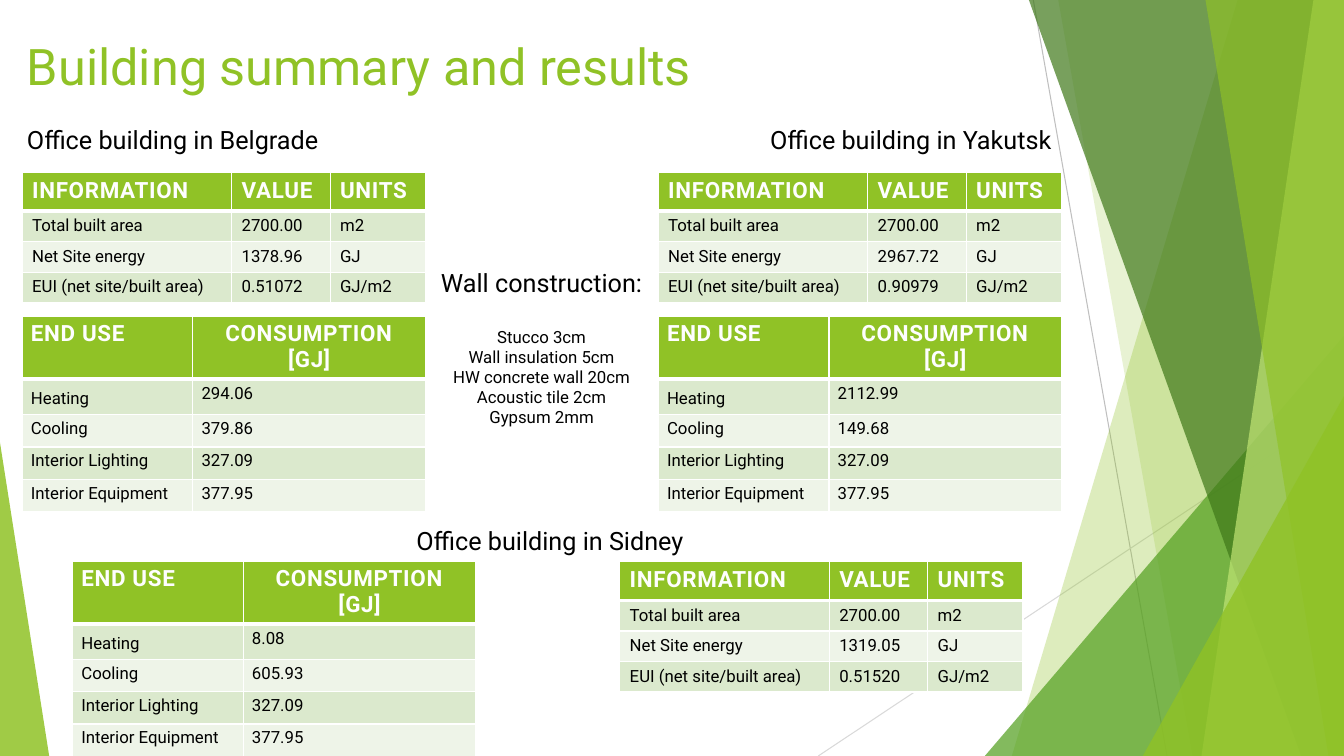
from dataclasses import dataclass

from lxml import etree
from pptx import Presentation
from pptx.dml.color import RGBColor
from pptx.enum.shapes import MSO_CONNECTOR, MSO_SHAPE
from pptx.enum.text import MSO_ANCHOR, PP_ALIGN
from pptx.oxml.ns import qn
from pptx.util import Cm, Pt

LEFT, MID, RIGHT = PP_ALIGN.LEFT, PP_ALIGN.CENTER, PP_ALIGN.RIGHT
CENTRE = MSO_ANCHOR.MIDDLE
STRAIGHT = MSO_CONNECTOR.STRAIGHT
PEAK = MSO_SHAPE.ISOSCELES_TRIANGLE

GREEN = RGBColor(0x90, 0xC2, 0x26)
GRASS = RGBColor(0x54, 0xA0, 0x21)
DARK = RGBColor(0x3F, 0x78, 0x19)
LIME = RGBColor(0xC0, 0xE4, 0x74)
BAND = RGBColor(0xDB, 0xE9, 0xCD)
PALE = RGBColor(0xEE, 0xF4, 0xE8)
WHITE = RGBColor(0xFF, 0xFF, 0xFF)
CREAM = RGBColor(0xFE, 0xFE, 0xFE)
BLACK = RGBColor(0, 0, 0)
GREY = RGBColor(0xBF, 0xBF, 0xBF)
SILVER = RGBColor(0xD9, 0xD9, 0xD9)

FONT = "Roboto"
WIDE, HIGH = 33.87, 19.05


@dataclass
class Ray:
    start: tuple[float, float]
    end: tuple[float, float]
    color: RGBColor


@dataclass
class Blade:
    """Pane from the right edge to a slanted left side."""
    top: float
    foot: float
    color: RGBColor
    alpha: int


@dataclass
class Wedge:
    """Triangle standing on the bottom edge."""
    left: float
    top: float
    width: float
    tip: float
    color: RGBColor
    alpha: int


@dataclass
class Grid:
    cols: list[float]
    head: float
    row: float
    pad: tuple[float, float]


@dataclass
class Site:
    city: str
    label: tuple[float, float]
    align: PP_ALIGN
    info: tuple[float, float]
    use: tuple[float, float]
    facts: list[str]
    loads: list[str]


RAYS = [
    Ray((26.04, 0), (29.41, HIGH), GREY),
    Ray((WIDE, 10.24), (20.62, HIGH), SILVER),
]
PANES = [
    Blade(31.19, 25.5, GREEN, 30),
    Blade(26.67, 30.05, GREEN, 20),
    Wedge(24.82, 8.46, 9.05, 1, GRASS, 72),
    Blade(25.93, 32.79, DARK, 70),
    Blade(33.1, 30.28, LIME, 70),
    Blade(30.38, 33.48, GREEN, 65),
    Wedge(28.8, 9.98, 5.07, 1, GREEN, 80),
    Wedge(0, 11.15, 1.24, 0, GREEN, 85),
]
INFO = Grid([5.28, 2.48, 2.4], 0.98, 0.76, (0.25, 0.13))
USE = Grid([4.3, 5.86], 0.91, 0.81, (0.22, 0.11))
FACTS = ["Total built area", "Net Site energy", "EUI (net site/built area)"]
UNITS = ["m2", "GJ", "GJ/m2"]
LOADS = ["Heating", "Cooling", "Interior Lighting", "Interior Equipment"]
SITES = [
    Site("Belgrade", (0.43, 3), LEFT, (0.56, 4.34), (0.56, 7.98),
         ["2700.00", "1378.96", "0.51072"], ["294.06", "379.86", "327.09", "377.95"]),
    Site("Yakutsk", (15.19, 3), RIGHT, (16.59, 4.34), (16.59, 7.98),
         ["2700.00", "2967.72", "0.90979"], ["2112.99", "149.68", "327.09", "377.95"]),
    Site("Sidney", (8.08, 13.11), MID, (15.62, 14.15), (1.83, 14.15),
         ["2700.00", "1319.05", "0.51520"], ["8.08", "605.93", "327.09", "377.95"]),
]
WALL = ["Stucco 3cm", "Wall insulation 5cm", "HW concrete wall 20cm",
        "Acoustic tile 2cm", "Gypsum 2mm"]


def style(para, size: float, color: RGBColor, align=LEFT, bold: bool = False) -> None:
    para.alignment = align
    font = para.font
    font.name, font.size, font.bold = FONT, Pt(size), bold
    font.color.rgb = color


def draw_ray(slide, ray: Ray) -> None:
    line = slide.shapes.add_connector(STRAIGHT, *map(Cm, ray.start + ray.end))
    line.line.color.rgb = ray.color
    line.line.width = Pt(0.75)
    etree.SubElement(line._element.spPr, qn("a:effectLst"))


def draw_pane(slide, pane: Blade | Wedge) -> None:
    if isinstance(pane, Blade):
        form = slide.shapes.build_freeform(Cm(pane.top), 0)
        rest = [(WIDE, 0), (WIDE, HIGH), (pane.foot, HIGH)]
        form.add_line_segments([(Cm(x), Cm(y)) for x, y in rest], close=True)
        shape = form.convert_to_shape()
    else:
        shape = slide.shapes.add_shape(PEAK, Cm(pane.left), Cm(pane.top),
                                       Cm(pane.width), Cm(HIGH - pane.top))
        shape.adjustments[0] = pane.tip
    shape.shadow.inherit = False
    shape.line.fill.background()
    shape.fill.solid()
    shape.fill.fore_color.rgb = pane.color
    tint = shape._element.spPr.find(".//" + qn("a:srgbClr"))
    etree.SubElement(tint, qn("a:alpha"), val=str(pane.alpha * 1000))


def add_text(slide, lines: list[str], box: tuple[float, ...], size: float,
             color: RGBColor, align=LEFT):
    frame = slide.shapes.add_textbox(*map(Cm, box)).text_frame
    frame.word_wrap = True
    frame.text = "\n".join(lines)
    for para in frame.paragraphs:
        style(para, size, color, align)
    return frame


def edge_cell(cell, row: int) -> None:
    """White rules, thick between head and body."""
    thick = {"lnT": row == 1, "lnB": row == 0}
    for side in ("lnL", "lnR", "lnT", "lnB"):
        width = Pt(3 if thick.get(side) else 1)
        line = etree.SubElement(cell._tc.get_or_add_tcPr(), qn("a:" + side), w=str(width))
        fill = etree.SubElement(line, qn("a:solidFill"))
        etree.SubElement(fill, qn("a:srgbClr"), val=str(WHITE))


def add_grid(slide, grid: Grid, at: tuple[float, float], rows: list[tuple[str, ...]]):
    high = grid.head + grid.row * (len(rows) - 1)
    table = slide.shapes.add_table(len(rows), len(grid.cols), *map(Cm, at),
                                   Cm(sum(grid.cols)), Cm(high)).table
    table.horz_banding = False
    for col, width in zip(table.columns, grid.cols):
        col.width = Cm(width)
    for r, texts in enumerate(rows):
        table.rows[r].height = Cm(grid.row if r else grid.head)
        for c, text in enumerate(texts):
            cell = table.cell(r, c)
            edge_cell(cell, r)
            cell.fill.solid()
            cell.fill.fore_color.rgb = (BAND if r % 2 else PALE) if r else GREEN
            cell.margin_left = cell.margin_right = Cm(grid.pad[0])
            cell.margin_top = cell.margin_bottom = Cm(grid.pad[1])
            cell.text = text
            para = cell.text_frame.paragraphs[0]
            if r:
                style(para, 12, BLACK)
            else:
                style(para, 16, CREAM, bold=True)
                para._p.pPr.find(qn("a:defRPr")).set("spc", "50")
    return table


def draw_site(slide, site: Site) -> None:
    add_text(slide, [f"Office building in {site.city}"], site.label + (11.56, 1.02),
             18, BLACK, site.align)
    use = add_grid(slide, USE, site.use,
                   [("END USE", "CONSUMPTION [GJ]"), *zip(LOADS, site.loads)])
    use.cell(0, 1).text_frame.paragraphs[0].alignment = MID
    # A larger closing space makes the first row taller
    space = use.cell(1, 0).text_frame.paragraphs[0].add_run()
    space.text, space.font.size = " ", Pt(16)
    add_grid(slide, INFO, site.info,
             [("INFORMATION", "VALUE", "UNITS"), *zip(FACTS, site.facts, UNITS)])


def main() -> None:
    deck = Presentation()
    deck.slide_width, deck.slide_height = Cm(WIDE), Cm(HIGH)
    slide = deck.slides.add_slide(deck.slide_layouts[6])

    # Backdrop
    for ray in RAYS:
        draw_ray(slide, ray)
    for pane in PANES:
        draw_pane(slide, pane)

    # Title and sites
    title = add_text(slide, ["Building summary and results"],
                     (0.43, 0.64, 23.88, 2.01), 36, GREEN)
    title.vertical_anchor = CENTRE
    for site in SITES:
        draw_site(slide, site)

    # Wall layers
    wall = add_text(slide, ["Wall construction:", *WALL], (7.87, 6.6, 11.56, 5.13),
                    12, BLACK, MID)
    wall.paragraphs[0].font.size = Pt(18)
    wall.paragraphs[1].space_before = Pt(21)

    deck.save("out.pptx")


if __name__ == "__main__":
    main()
